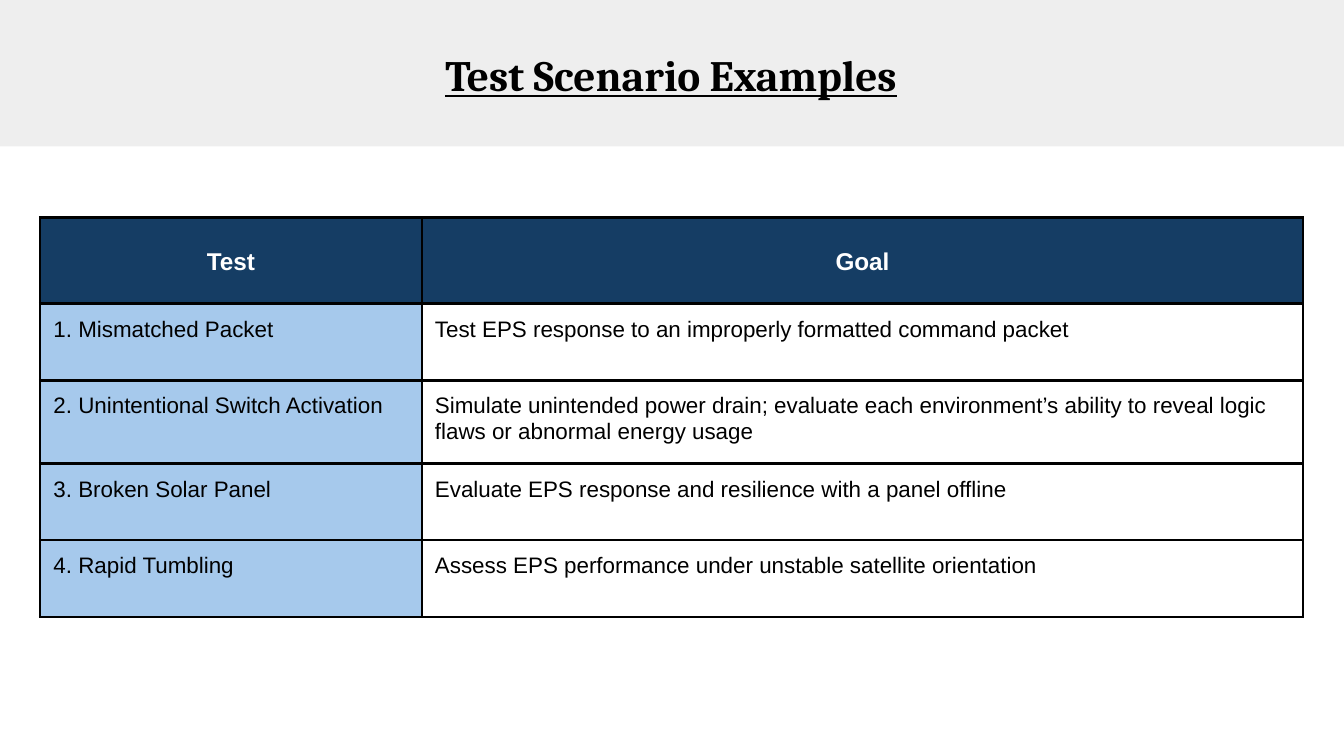
import dataclasses

import pptx
import pptx.dml.color
import pptx.enum.shapes
import pptx.enum.text
import pptx.oxml
import pptx.oxml.ns
import pptx.util

Cm = pptx.util.Cm
Pt = pptx.util.Pt
RGB = pptx.dml.color.RGBColor
Align = pptx.enum.text.PP_ALIGN
Anchor = pptx.enum.text.MSO_ANCHOR


@dataclasses.dataclass(frozen=True)
class Theme:
    band: str = "EEEEEE"
    ink: str = "000000"
    paper: str = "FFFFFF"
    navy: str = "153D64"
    sky: str = "A6C9EC"
    serif: str = "Cambria"
    sans: str = "Arial"
    title: float = 23.2
    head: float = 13
    body: float = 12
    rule: float = 1.5
    inset: float = 0.25


@dataclasses.dataclass(frozen=True)
class Test:
    name: str
    goal: str
    height: float = 1.45


@dataclasses.dataclass(frozen=True)
class Style:
    font: str
    size: float
    color: str
    bold: bool = False
    line: bool = False


THEME = Theme()
TITLE = Style(THEME.serif, THEME.title, THEME.ink, True, True)
HEAD = Style(THEME.sans, THEME.head, THEME.paper, True)
BODY = Style(THEME.sans, THEME.body, THEME.ink)
WIDTHS = (7.21, 16.66)
TESTS = [
    Test("Test", "Goal", 1.63),
    Test("1. Mismatched Packet", "Test EPS response to an improperly formatted command packet"),
    Test(
        "2. Unintentional Switch Activation",
        "Simulate unintended power drain; evaluate each environment’s ability "
        "to reveal logic flaws or abnormal energy usage",
        1.57,
    ),
    Test("3. Broken Solar Panel", "Evaluate EPS response and resilience with a panel offline"),
    Test("4. Rapid Tumbling", "Assess EPS performance under unstable satellite orientation"),
]


def write(para, text: str, style: Style) -> None:
    run = para.add_run()
    run.text = text
    font = run.font
    font.name = style.font
    font.size = Pt(style.size)
    font.bold = style.bold
    font.underline = style.line
    font.color.rgb = RGB.from_string(style.color)


def pad(box) -> None:
    box.margin_left = box.margin_right = Cm(THEME.inset)
    box.margin_top = box.margin_bottom = Cm(THEME.inset)


def border(cell) -> None:
    props = cell._tc.get_or_add_tcPr()
    for side in ("lnL", "lnR", "lnT", "lnB"):
        props.append(pptx.oxml.parse_xml(
            f'<a:{side} {pptx.oxml.ns.nsdecls("a")} w="{Pt(THEME.rule)}">'
            f'<a:solidFill><a:srgbClr val="{THEME.ink}"/></a:solidFill></a:{side}>'
        ))


def draw_cell(cell, text: str, fill: str, head: bool) -> None:
    border(cell)
    cell.fill.solid()
    cell.fill.fore_color.rgb = RGB.from_string(fill)
    pad(cell)
    cell.vertical_anchor = Anchor.MIDDLE if head else Anchor.TOP
    para = cell.text_frame.paragraphs[0]
    para.alignment = Align.CENTER if head else Align.LEFT
    para.line_spacing = 1.15 if head else 1.0
    write(para, text, HEAD if head else BODY)


def draw_band(slide) -> None:
    band = slide.shapes.add_shape(
        pptx.enum.shapes.MSO_SHAPE.RECTANGLE, Cm(-0.08), Cm(0), Cm(25.53), Cm(2.77)
    )
    band.shadow.inherit = False
    band.fill.solid()
    band.fill.fore_color.rgb = RGB.from_string(THEME.band)
    band.line.fill.background()
    slide.shapes.title._element.addprevious(band._element)


def draw_title(slide, text: str) -> None:
    title = slide.shapes.title
    title.left, title.top, title.width, title.height = Cm(5), Cm(0.66), Cm(15.37), Cm(1.45)
    frame = title.text_frame
    frame.auto_size = pptx.enum.text.MSO_AUTO_SIZE.NONE
    frame.word_wrap = True
    frame.vertical_anchor = Anchor.TOP
    pad(frame)
    para = frame.paragraphs[0]
    para.alignment = Align.CENTER
    write(para, text, TITLE)


def draw_table(slide, tests: list[Test]) -> None:
    high = sum(test.height for test in tests)
    table = slide.shapes.add_table(
        len(tests), len(WIDTHS), Cm(0.76), Cm(4.11), Cm(sum(WIDTHS)), Cm(high)
    ).table
    for col, width in zip(table.columns, WIDTHS):
        col.width = Cm(width)
    for index, test in enumerate(tests):
        head = index == 0
        row = table.rows[index]
        row.height = Cm(test.height)
        fills = (THEME.navy, THEME.navy) if head else (THEME.sky, THEME.paper)
        for cell, text, fill in zip(row.cells, (test.name, test.goal), fills):
            draw_cell(cell, text, fill, head)


def main() -> None:
    deck = pptx.Presentation()
    deck.slide_width, deck.slide_height = Cm(25.4), Cm(14.29)
    slide = deck.slides.add_slide(deck.slide_layouts[5])
    draw_band(slide)
    draw_title(slide, "Test Scenario Examples")
    draw_table(slide, TESTS)
    deck.save("out.pptx")


if __name__ == "__main__":
    main()
